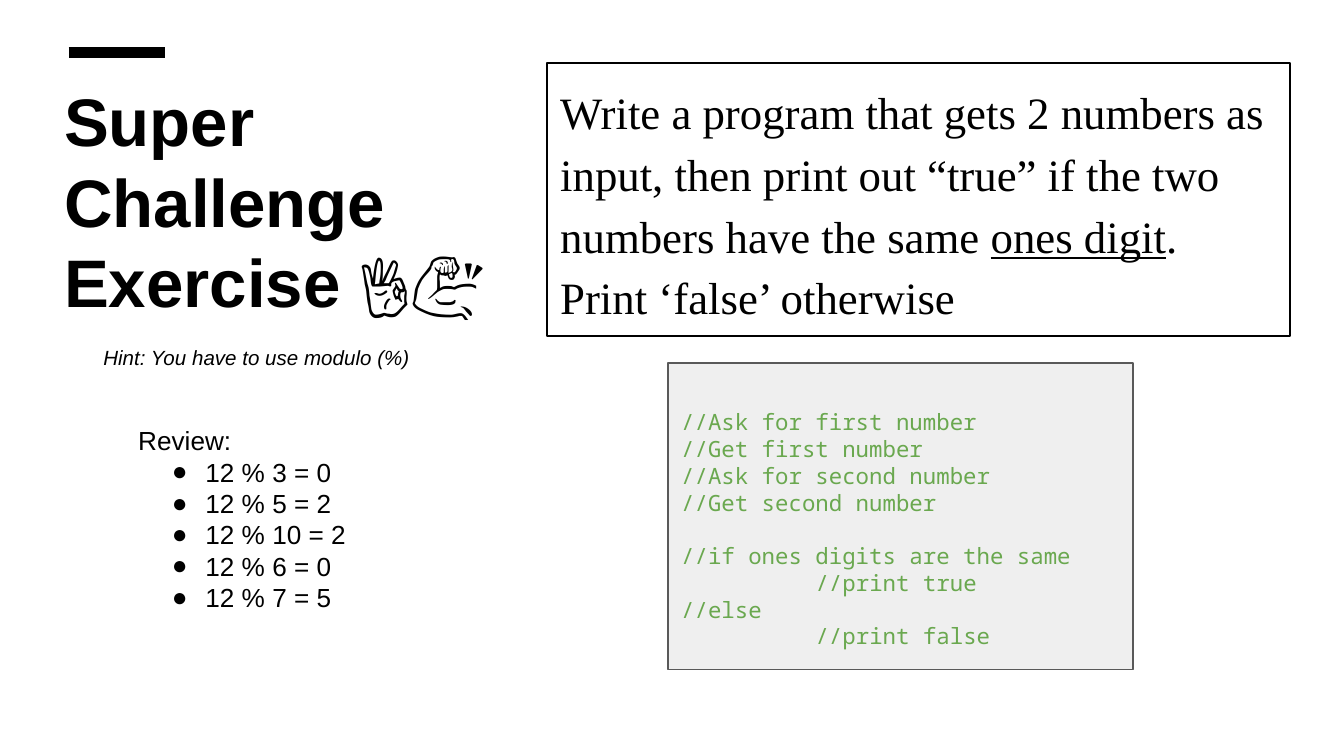
from pptx import Presentation
from pptx.dml.color import RGBColor
from pptx.enum.shapes import MSO_CONNECTOR, MSO_SHAPE
from pptx.enum.text import MSO_ANCHOR, PP_ALIGN
from pptx.oxml.ns import qn
from pptx.util import Inches, Pt
from lxml.etree import SubElement

BLACK = RGBColor(0x00, 0x00, 0x00)
PANEL = RGBColor(0xEF, 0xEF, 0xEF)
BORDER = RGBColor(0x59, 0x59, 0x59)
GREEN = RGBColor(0x6A, 0xA8, 0x4F)

prs = Presentation()
prs.slide_width = Inches(10)
prs.slide_height = prs.slide_width * 9 // 16
s = prs.slides.add_slide(prs.slide_layouts[6])


def add_text(lines, box, size, font="Arial", color=BLACK, bold=False,
             italic=False, spacing=None, line=None, fill=None,
             anchor=MSO_ANCHOR.TOP):
    """Add a box; each line is a string or a list of (text, underline)."""
    box = [Inches(v) for v in box]
    if line is None:
        sp = s.shapes.add_textbox(*box)
    else:
        sp = s.shapes.add_shape(MSO_SHAPE.RECTANGLE, *box)
        sp.shadow.inherit = False
        sp.line.color.rgb = line
        sp.line.width = Pt(0.75)
    if fill is None:
        sp.fill.background()
    else:
        sp.fill.solid()
        sp.fill.fore_color.rgb = fill
    tf = sp.text_frame
    tf.word_wrap = True
    tf.vertical_anchor = anchor
    tf.margin_left = tf.margin_right = Inches(0.1)
    tf.margin_top = tf.margin_bottom = Inches(0.1)
    for i, runs in enumerate(lines):
        p = tf.paragraphs[0] if i == 0 else tf.add_paragraph()
        p.alignment = PP_ALIGN.LEFT
        if spacing:
            p.line_spacing = spacing
        for text, underline in [(runs, False)] if isinstance(runs, str) else runs:
            r = p.add_run()
            r.text = text
            r.font.name, r.font.size = font, Pt(size)
            r.font.bold, r.font.italic = bold, italic
            r.font.underline = underline
            r.font.color.rgb = color
    return tf


# Accent bar and title
bar = s.shapes.add_connector(MSO_CONNECTOR.STRAIGHT, Inches(0.51), Inches(0.39),
                             Inches(1.23), Inches(0.39))
bar.line.color.rgb = BLACK
bar.line.width = Pt(6)
SubElement(bar._element.spPr, qn("a:effectLst"))
add_text(["Super", "Challenge Exercise 👌💪"], (0.38, 0.49, 4.26, 1.63), 36,
         bold=True)

# Task
add_text([[("Write a program that gets 2 numbers as input, then print out "
            "“true” if the two numbers have the same ", False),
           ("ones digit", True), (". ", False)],
          "Print ‘false’ otherwise"],
         (4.07, 0.47, 5.53, 2.03), 24, font="Times New Roman", spacing=1.15,
         line=BLACK)

# Hint
add_text(["Hint: You have to use modulo (%)"], (0.67, 2.44, 2.59, 0.43), 11,
         italic=True, spacing=1.15)

# Review list, bulleted below its heading
divisors = [3, 5, 10, 6, 7]
tf = add_text(["Review:"] + [f"12 % {d} = {12 % d}" for d in divisors],
              (0.93, 3.06, 4.39, 2.13), 14)
for p in tf.paragraphs[1:]:
    pPr = p._p.get_or_add_pPr()
    pPr.set("marL", str(Inches(0.5)))
    pPr.set("indent", str(-Inches(0.25)))
    SubElement(pPr, qn("a:buFont")).set("typeface", "Arial")
    SubElement(pPr, qn("a:buChar")).set("char", "●")

# Code outline, with one-inch tab stops
tf = add_text(["//Ask for first number", "//Get first number",
               "//Ask for second number", "//Get second number",
               "//if ones digits are the same", "\t//print true",
               "//else", "\t//print false"],
              (4.97, 2.7, 3.46, 2.28), 12, font="Noto Sans Mono", color=GREEN,
              line=BORDER, fill=PANEL, anchor=MSO_ANCHOR.MIDDLE)
tf.margin_top = Inches(0.29)
tf.paragraphs[4].space_before = Pt(14)
for p in tf.paragraphs:
    p._p.get_or_add_pPr().set("defTabSz", str(Inches(1)))

prs.save("out.pptx")
